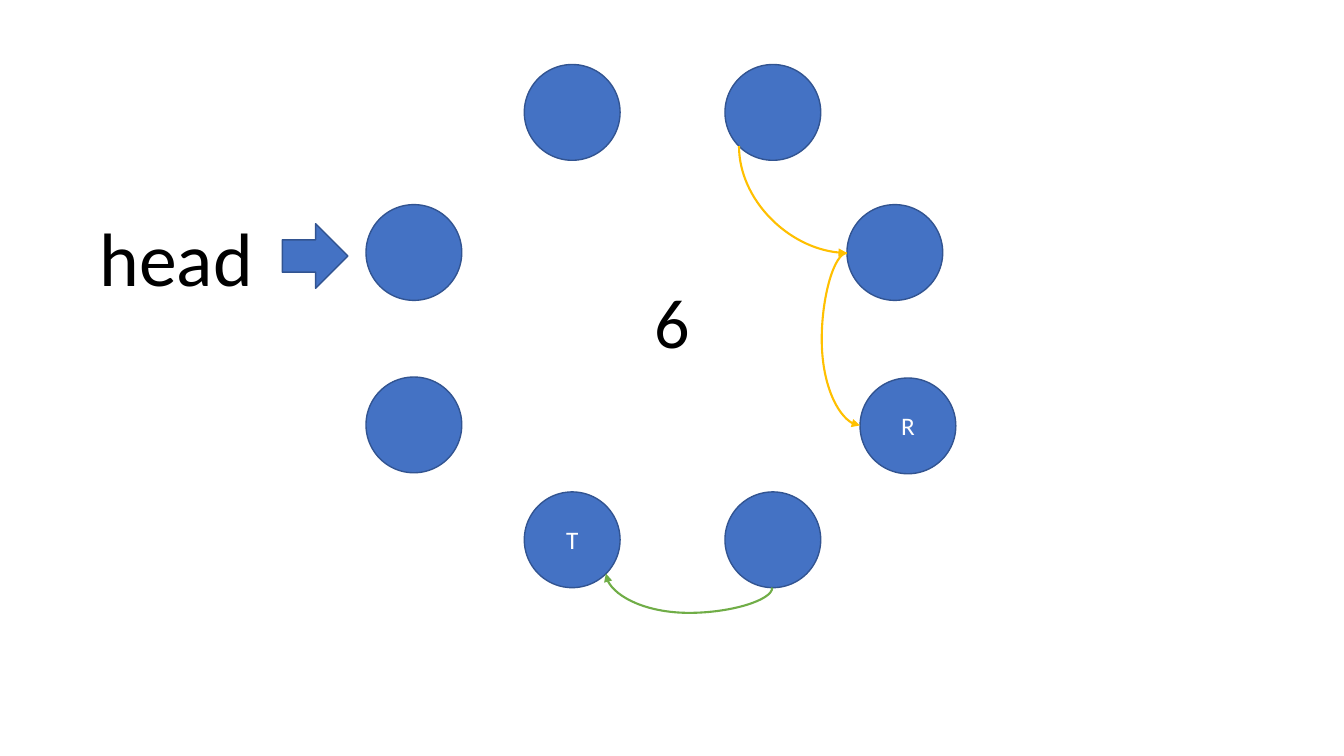
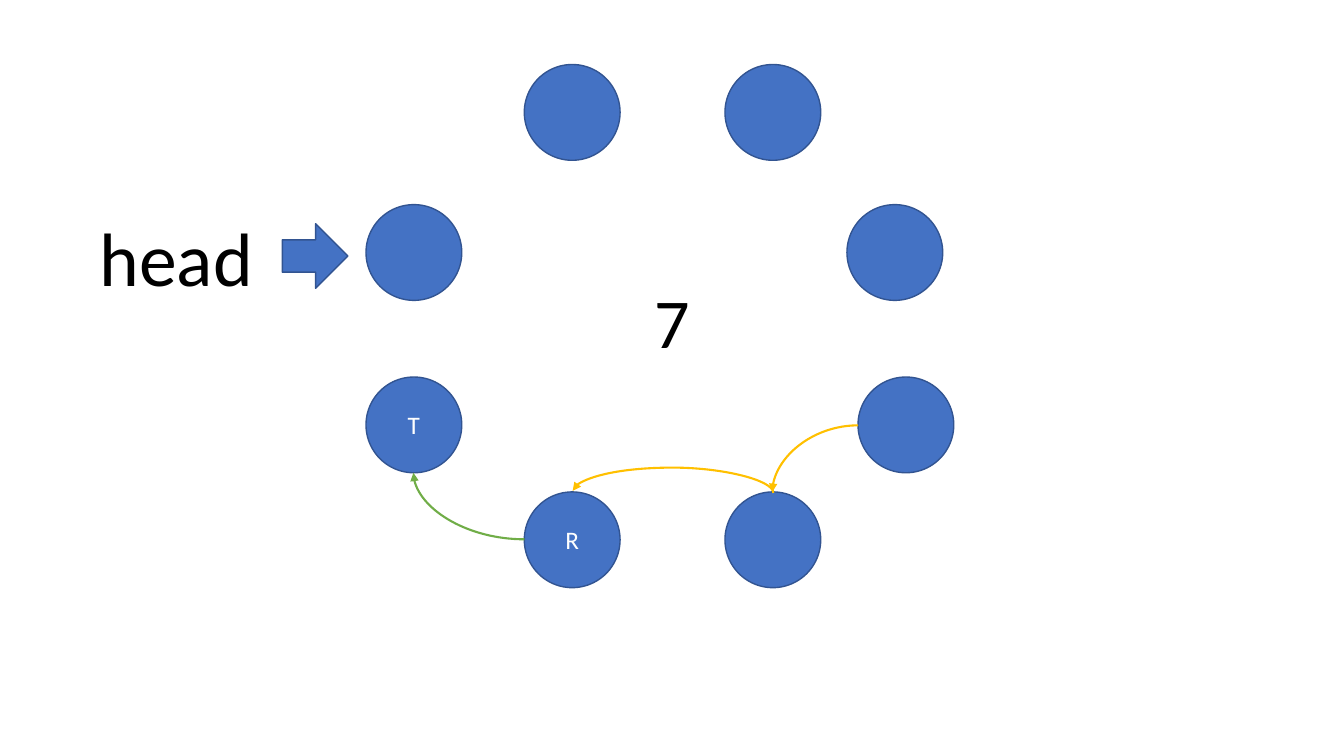
from dataclasses import dataclass

from lxml.etree import SubElement
from pptx import Presentation
from pptx.dml.color import RGBColor
from pptx.enum.shapes import MSO_CONNECTOR, MSO_SHAPE
from pptx.enum.text import MSO_ANCHOR, MSO_AUTO_SIZE, PP_ALIGN
from pptx.oxml.ns import qn
from pptx.shapes.autoshape import Shape
from pptx.slide import Slide
from pptx.text.text import TextFrame
from pptx.util import Inches, Pt

BLUE = RGBColor(0x44, 0x72, 0xC4)
OUTLINE = RGBColor(0x32, 0x54, 0x91)
YELLOW = RGBColor(0xFF, 0xC0, 0x00)
GREEN = RGBColor(0x70, 0xAD, 0x47)
WHITE = RGBColor(0xFF, 0xFF, 0xFF)
BLACK = RGBColor(0x00, 0x00, 0x00)
FONT = "Calibri"
NODE_SIZE = 0.95

# Nodes that stay in place, by name
NODES: dict[str, tuple[float, float]] = {
    "lower left": (3.63, 3.74),
    "bottom left": (5.2, 4.88),
    "upper left": (3.63, 2.03),
    "top left": (5.2, 0.64),
    "top right": (7.19, 0.64),
    "upper right": (8.4, 2.03),
    "bottom right": (7.19, 4.88),
}


@dataclass(frozen=True)
class Curve:
    """An arrow; a bulge (in inches) makes it bow out beyond its ends."""
    start: tuple[float, float]
    end: tuple[float, float]
    color: RGBColor
    rotation: int
    flip_h: bool = False
    flip_v: bool = False
    bulge: float | None = None


@dataclass(frozen=True)
class Step:
    number: str
    lower_right: tuple[float, float]
    labels: dict[str, str]
    curves: tuple[Curve, ...]


STEPS = (
    Step("6", (8.53, 3.75), {"bottom left": "T", "lower right": "R"}, (
        Curve((8.4, 2.51), (8.53, 4.22), YELLOW, 180, True, True, -0.25),
        Curve((7.33, 1.45), (8.4, 2.51), YELLOW, 270, True),
        Curve((7.66, 5.83), (6.01, 5.69), GREEN, 90, True, bulge=-0.25),
    )),
    Step("7", (8.51, 3.74), {"lower left": "T", "bottom left": "R"}, (
        Curve((8.51, 4.22), (7.66, 4.88), YELLOW, 180, flip_v=True),
        Curve((7.67, 4.89), (5.68, 4.87), YELLOW, 270, flip_v=True, bulge=0.25),
        Curve((5.2, 5.35), (4.1, 4.69), GREEN, 180),
    )),
)


def add_text(frame: TextFrame, text: str, size: float, color: RGBColor) -> None:
    run = frame.paragraphs[0].add_run()
    run.text = text
    run.font.name = FONT
    run.font.size = Pt(size)
    run.font.color.rgb = color


def add_blue_shape(slide: Slide, kind: MSO_SHAPE, left: float, top: float,
                   width: float, height: float) -> Shape:
    shape = slide.shapes.add_shape(
        kind, Inches(left), Inches(top), Inches(width), Inches(height))
    shape.shadow.inherit = False
    shape.fill.solid()
    shape.fill.fore_color.rgb = BLUE
    shape.line.color.rgb = OUTLINE
    shape.line.width = Pt(1)
    return shape


def add_node(slide: Slide, position: tuple[float, float], label: str) -> None:
    shape = add_blue_shape(slide, MSO_SHAPE.OVAL, *position, NODE_SIZE, NODE_SIZE)
    if label:
        frame = shape.text_frame
        frame.vertical_anchor = MSO_ANCHOR.MIDDLE
        frame.paragraphs[0].alignment = PP_ALIGN.CENTER
        add_text(frame, label, 18, WHITE)


def add_caption(slide: Slide, text: str, size: float, left: float, top: float,
                width: float, height: float) -> None:
    box = slide.shapes.add_textbox(
        Inches(left), Inches(top), Inches(width), Inches(height))
    box.text_frame.word_wrap = True
    box.text_frame.auto_size = MSO_AUTO_SIZE.SHAPE_TO_FIT_TEXT
    add_text(box.text_frame, text, size, BLACK)


def add_curve(slide: Slide, curve: Curve) -> None:
    # The frame is centred between the ends, before it is turned
    (start_x, start_y), (end_x, end_y) = curve.start, curve.end
    width, height = abs(end_x - start_x), abs(end_y - start_y)
    if curve.rotation % 180:
        width, height = height, width
    left = (start_x + end_x - width) / 2
    top = (start_y + end_y - height) / 2
    begin_x, finish_x = left, left + width
    begin_y, finish_y = top, top + height
    if curve.flip_h:
        begin_x, finish_x = finish_x, begin_x
    if curve.flip_v:
        begin_y, finish_y = finish_y, begin_y
    connector = slide.shapes.add_connector(
        MSO_CONNECTOR.CURVE, Inches(begin_x), Inches(begin_y),
        Inches(finish_x), Inches(finish_y))
    connector.line.color.rgb = curve.color
    connector.line.width = Pt(1.5)

    # Rotation, bend, arrowhead and no shadow
    properties = connector._element.spPr
    properties.find(qn("a:xfrm")).set("rot", str(curve.rotation * 60000))
    geometry = properties.find(qn("a:prstGeom"))
    if curve.bulge is None:
        geometry.set("prst", "curvedConnector2")
    else:
        bend = round(curve.bulge / width * 100000)
        SubElement(geometry.find(qn("a:avLst")), qn("a:gd"),
                   name="adj1", fmla=f"val {bend}")
    SubElement(properties.find(qn("a:ln")), qn("a:tailEnd"), type="triangle")
    SubElement(properties, qn("a:effectLst"))


def add_step(presentation: Presentation, step: Step) -> None:
    slide = presentation.slides.add_slide(presentation.slide_layouts[6])

    # Ring of nodes
    for name, position in {**NODES, "lower right": step.lower_right}.items():
        add_node(slide, position, step.labels.get(name, ""))

    # Head pointer and step number
    add_caption(slide, "head", 54, 0.89, 2.04, 1.74, 1.01)
    add_blue_shape(slide, MSO_SHAPE.RIGHT_ARROW, 2.8, 2.22, 0.65, 0.64)
    add_caption(slide, step.number, 50, 6.39, 2.71, 0.55, 0.95)

    # Moves
    for curve in step.curves:
        add_curve(slide, curve)


def main() -> None:
    presentation = Presentation()
    presentation.slide_width = Inches(13.33)
    presentation.slide_height = Inches(7.5)
    for step in STEPS:
        add_step(presentation, step)
    presentation.save("out.pptx")


if __name__ == "__main__":
    main()
